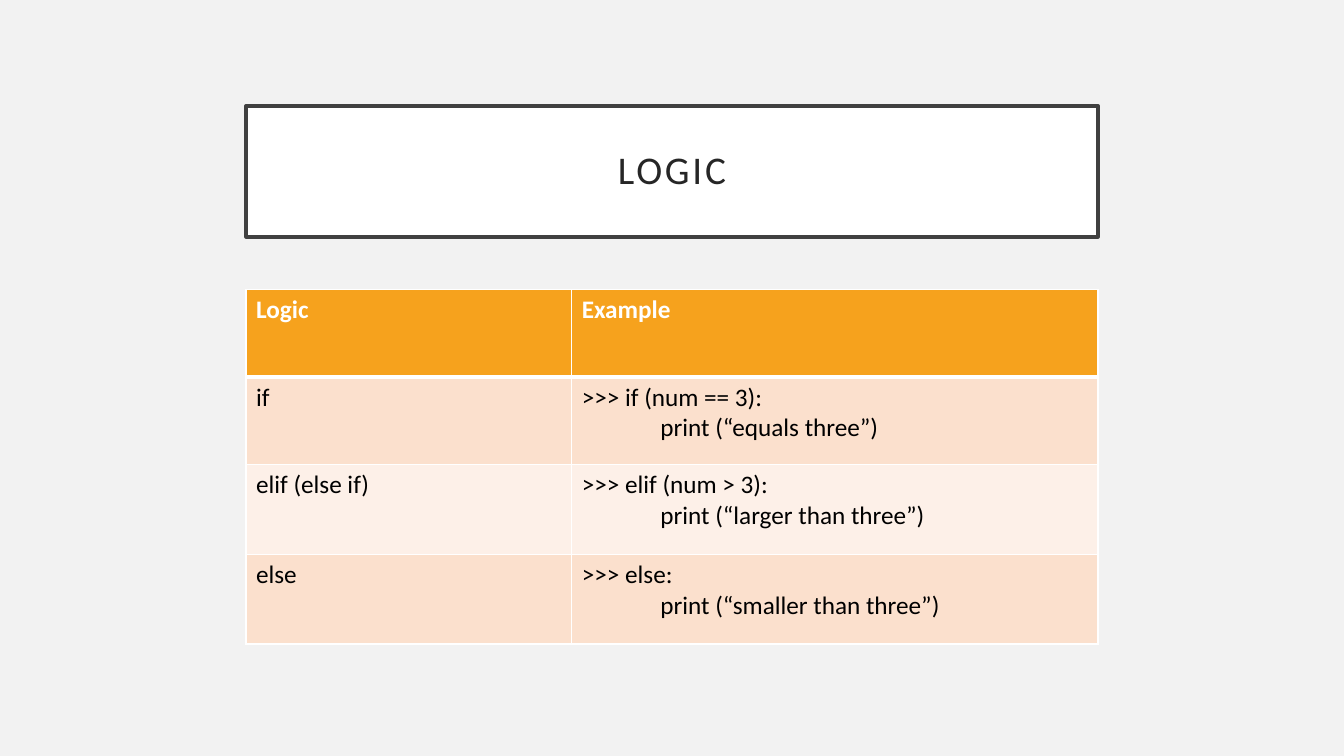
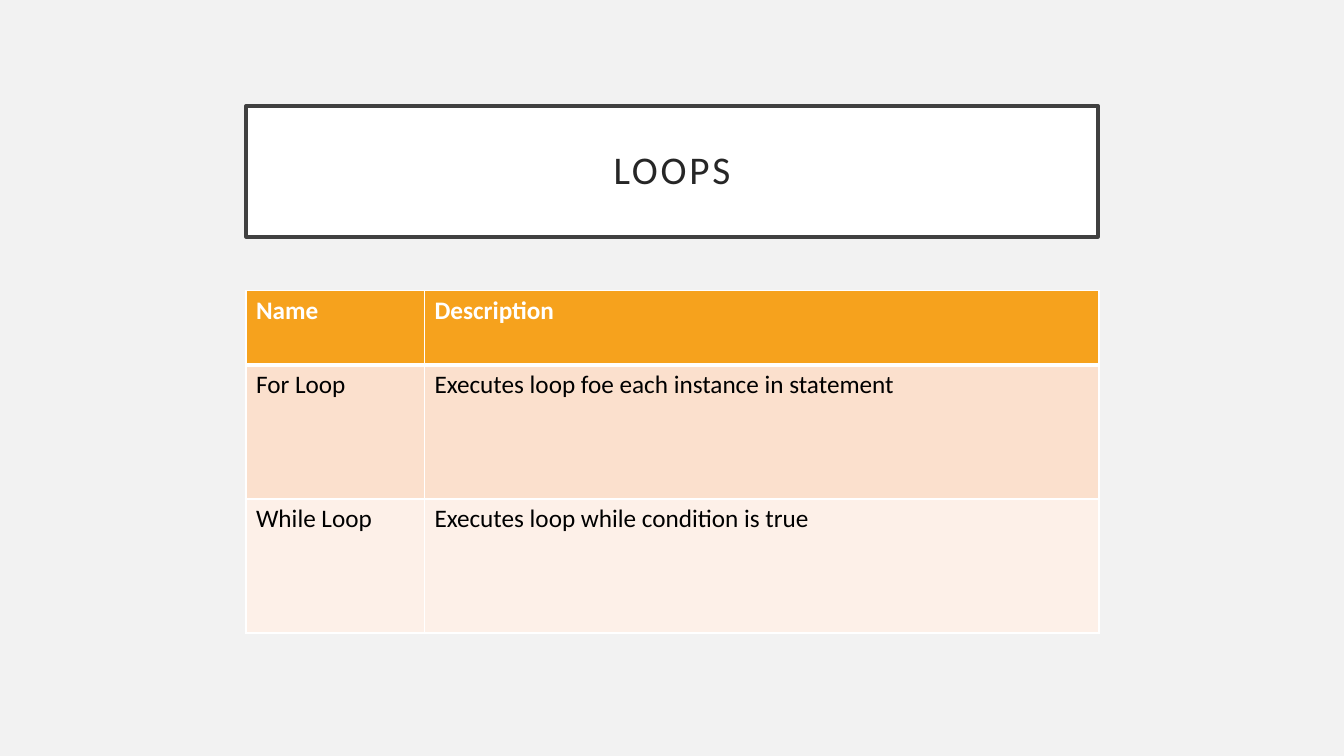
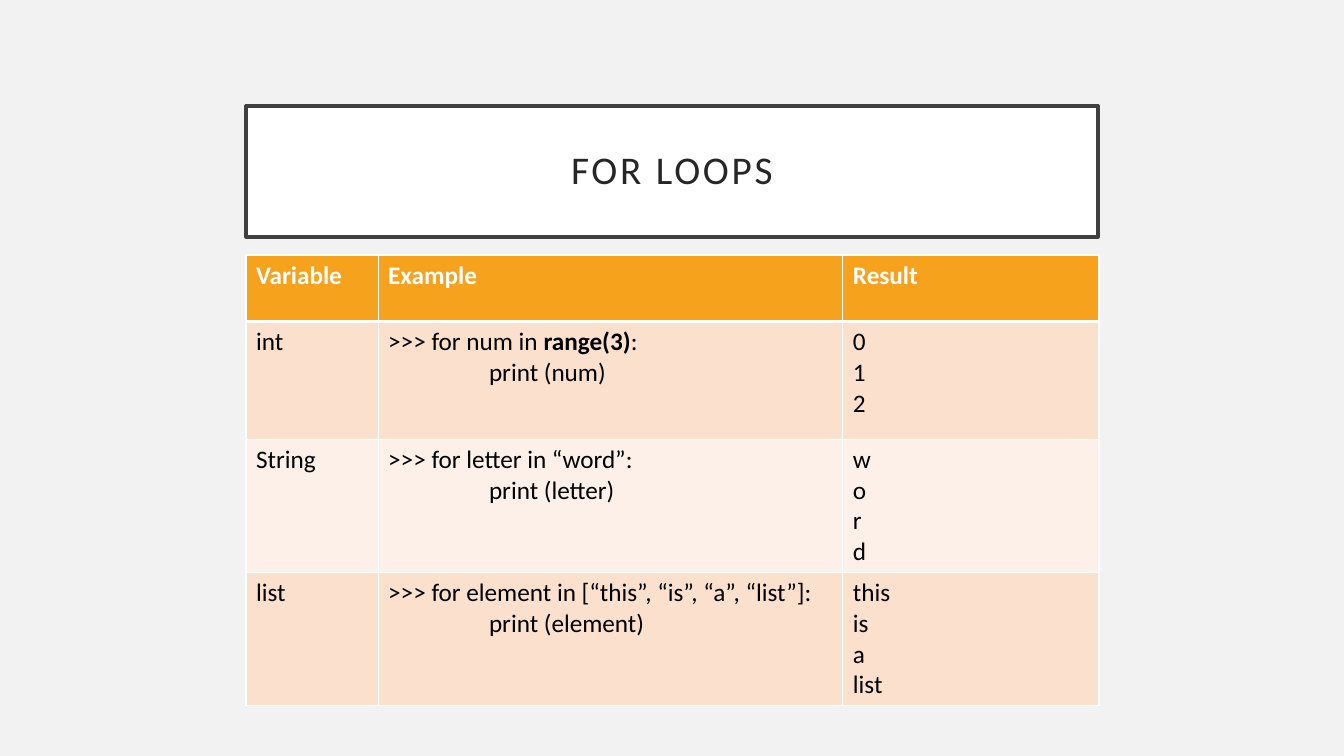
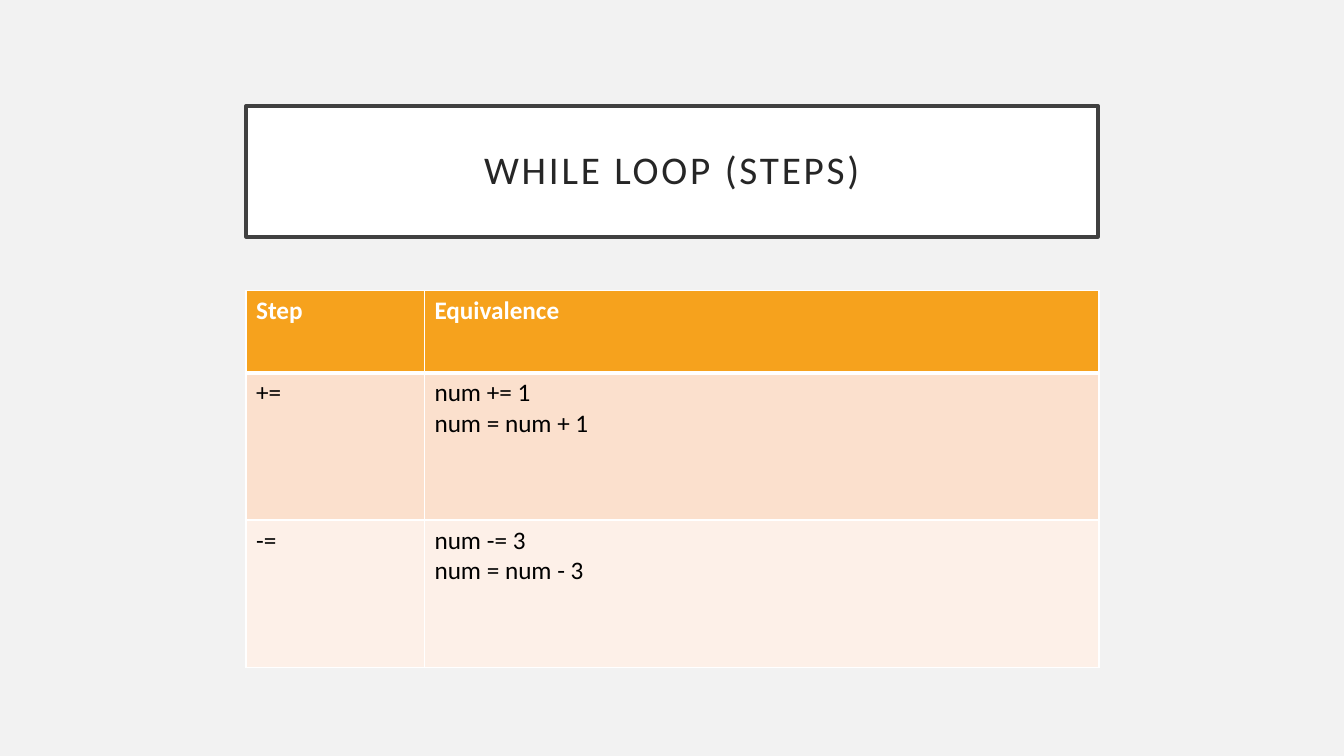
from pptx import Presentation
from pptx.dml.color import RGBColor
from pptx.enum.text import MSO_ANCHOR, MSO_AUTO_SIZE, PP_ALIGN
from pptx.oxml import parse_xml
from pptx.oxml.ns import nsdecls
from pptx.util import Inches, Pt

BACKGROUND = RGBColor(0xF2, 0xF2, 0xF2)
WHITE = RGBColor(0xFF, 0xFF, 0xFF)
BLACK = RGBColor(0x00, 0x00, 0x00)
TITLE_TEXT = RGBColor(0x26, 0x26, 0x26)
TITLE_FRAME = RGBColor(0x40, 0x40, 0x40)
HEADER_FILL = RGBColor(0xF6, 0xA2, 0x1D)
BAND_FILLS = (RGBColor(0xFB, 0xE0, 0xCD), RGBColor(0xFD, 0xF0, 0xE8))

FONT = "Calibri"
LEFT, WIDTH = 2.44, 8.45
TITLE_TOP, TITLE_HEIGHT = 1.05, 1.3
TITLE_INSET = 0.2
TITLE_ONLY = 5

# A leading tab marks an indented line; asterisks enclose bold words.
TOPICS = [
    {
        "title": "LOGIC",
        "top": 2.87,
        "columns": (3.23, 5.22),
        "heights": (0.87, 0.87, 0.89, 0.89),
        "indent": 0.78,
        "rows": [
            ("Logic", "Example"),
            ("if", ">>> if (num == 3):\n\tprint (“equals three”)"),
            ("elif (else if)", ">>> elif (num > 3):\n\tprint (“larger than three”)"),
            ("else", ">>> else:\n\tprint (“smaller than three”)"),
        ],
    },
    {
        "title": "LOOPS",
        "top": 2.88,
        "columns": (1.77, 6.69),
        "heights": (0.74, 1.33, 1.33),
        "indent": 0,
        "rows": [
            ("Name", "Description"),
            ("For Loop", "Executes loop foe each instance in statement"),
            ("While Loop", "Executes loop while condition is true"),
        ],
    },
    {
        "title": "FOR LOOPS",
        "top": 2.53,
        "columns": (1.31, 4.61, 2.54),
        "heights": (0.66, 1.17, 1.32, 1.32),
        "indent": 1,
        "rows": [
            ("Variable", "Example", "Result"),
            ("int", ">>> for num in *range(3)*:\n\tprint (num)", "0\n1\n2"),
            ("String", ">>> for letter in “word”:\n\tprint (letter)", "w\no\nr\nd"),
            (
                "list",
                ">>> for element in [“this”, “is”, “a”, “list”]:\n\tprint (element)",
                "this\nis\na\nlist",
            ),
        ],
    },
    {
        "title": "WHILE LOOP (STEPS)",
        "top": 2.88,
        "columns": (1.77, 6.69),
        "heights": (0.82, 1.46, 1.46),
        "indent": 0,
        "rows": [
            ("Step", "Equivalence"),
            ("+=", "num += 1\nnum = num + 1"),
            ("-=", "num -= 3\nnum = num - 3"),
        ],
    },
]


def format_run(run, size, color, bold=False):
    run.font.name = FONT
    run.font.size = Pt(size)
    run.font.color.rgb = color
    run.font.bold = bold


def add_title(slide, wording):
    title = slide.shapes.title
    title.left, title.top = Inches(LEFT), Inches(TITLE_TOP)
    title.width, title.height = Inches(WIDTH), Inches(TITLE_HEIGHT)
    title.fill.solid()
    title.fill.fore_color.rgb = WHITE
    title.line.color.rgb = TITLE_FRAME
    title.line.width = Pt(2.5)
    frame = title.text_frame
    frame.text = wording
    frame.word_wrap = True
    frame.auto_size = MSO_AUTO_SIZE.NONE
    frame.vertical_anchor = MSO_ANCHOR.MIDDLE
    frame.margin_left = frame.margin_right = Inches(TITLE_INSET)
    frame.margin_top = frame.margin_bottom = Inches(TITLE_INSET)
    heading = frame.paragraphs[0]
    heading.alignment = PP_ALIGN.CENTER
    heading.line_spacing = 0.9
    run = heading.runs[0]
    format_run(run, 28, TITLE_TEXT)
    run.font._element.set("spc", "200")


def add_borders(cell, row_index):
    widths = {
        "lnL": 1,
        "lnR": 1,
        "lnT": 3 if row_index == 1 else 1,
        "lnB": 3 if row_index == 0 else 1,
    }
    properties = cell._tc.get_or_add_tcPr()
    for side, width in widths.items():
        properties.append(parse_xml(
            f'<a:{side} {nsdecls("a")} w="{Pt(width)}"><a:solidFill>'
            f'<a:srgbClr val="{WHITE}"/></a:solidFill></a:{side}>'
        ))


def fill_cell(cell, wording, row_index, indent):
    is_header = row_index == 0
    add_borders(cell, row_index)
    cell.fill.solid()
    cell.fill.fore_color.rgb = HEADER_FILL if is_header else BAND_FILLS[(row_index - 1) % 2]
    cell.text_frame.text = wording.replace("\t", "").replace("*", "")
    for paragraph, line in zip(cell.text_frame.paragraphs, wording.split("\n")):
        if line.startswith("\t"):
            paragraph._p.get_or_add_pPr().set("marL", str(Inches(indent)))
        pieces = line.lstrip("\t").split("*")
        paragraph.text = pieces[0]
        for piece in pieces[1:]:
            paragraph.add_run().text = piece
        for position, run in enumerate(paragraph.runs):
            format_run(run, 18, WHITE if is_header else BLACK, is_header or position % 2 == 1)


def add_topic_table(slide, topic):
    rows, columns, heights = topic["rows"], topic["columns"], topic["heights"]
    table = slide.shapes.add_table(
        len(rows), len(columns), Inches(LEFT), Inches(topic["top"]),
        Inches(sum(columns)), Inches(sum(heights)),
    ).table
    for column, width in zip(table.columns, columns):
        column.width = Inches(width)
    for row_index, (row, height) in enumerate(zip(rows, heights)):
        table.rows[row_index].height = Inches(height)
        for column_index, wording in enumerate(row):
            fill_cell(table.cell(row_index, column_index), wording, row_index, topic["indent"])


def main():
    deck = Presentation()
    deck.slide_width, deck.slide_height = Inches(13.33), Inches(7.5)
    backdrop = deck.slide_master.background.fill
    backdrop.solid()
    backdrop.fore_color.rgb = BACKGROUND
    for topic in TOPICS:
        slide = deck.slides.add_slide(deck.slide_layouts[TITLE_ONLY])
        add_title(slide, topic["title"])
        add_topic_table(slide, topic)
    deck.save("out.pptx")


if __name__ == "__main__":
    main()
